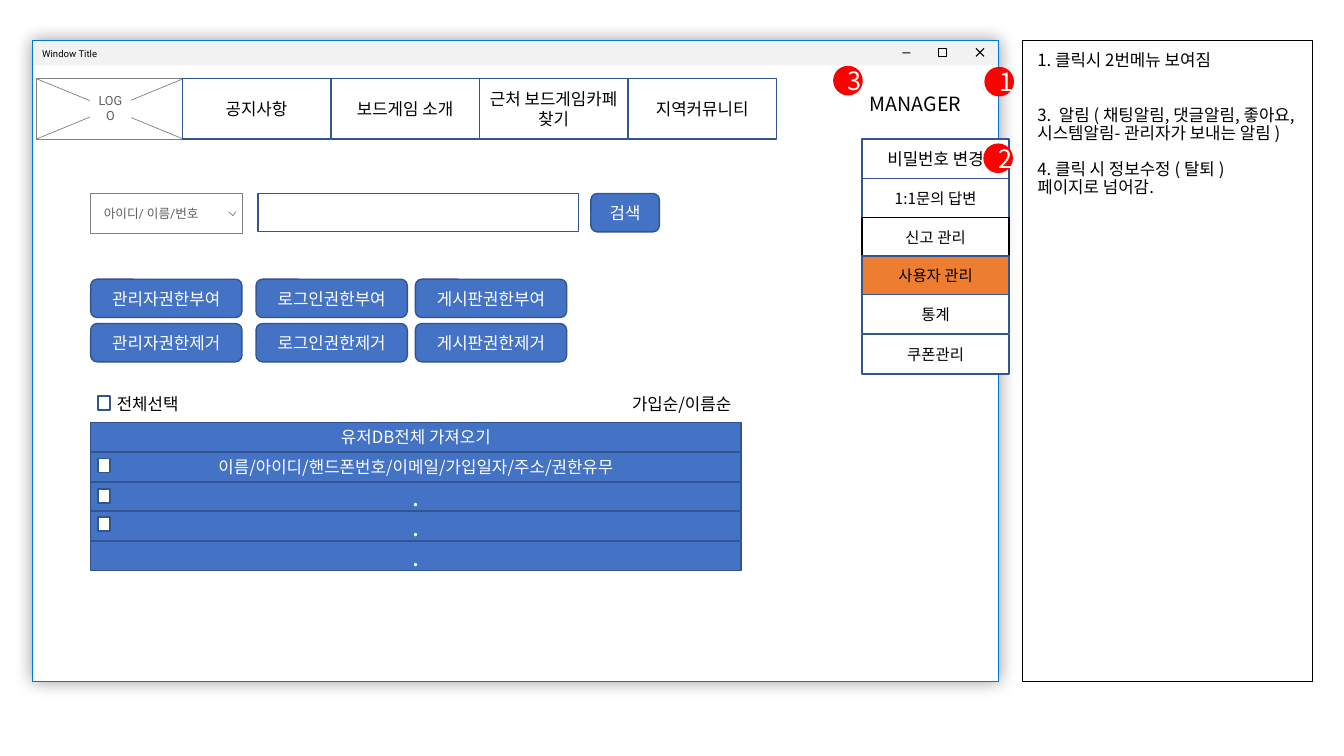
from lxml import etree
from pptx import Presentation
from pptx.dml.color import RGBColor
from pptx.enum.shapes import MSO_CONNECTOR, MSO_SHAPE as SHAPE
from pptx.enum.text import MSO_ANCHOR as ANCHOR, PP_ALIGN as ALIGN
from pptx.oxml import parse_xml
from pptx.oxml.ns import nsdecls, qn
from pptx.util import Inches, Pt

COLORS = {
    "black": "000000", "white": "FFFFFF", "bar": "F2F2F2", "window": "0078D7",
    "blue": "4472C4", "edge": "325491", "orange": "ED7D31", "red": "FF0000",
    "gray": "808080", "label": "5F5F5F",
}
KOREAN, LATIN = "Noto Sans CJK KR", "Roboto"


def rgb(name):
    return RGBColor.from_string(COLORS[name])


def style_line(line, color, width):
    if color is None:
        line.fill.background()
    else:
        line.color.rgb = rgb(color)
        line.width = Pt(width)


def write(frame, paragraphs, size, color="black", font=KOREAN, align=ALIGN.LEFT):
    for i, text in enumerate(paragraphs):
        paragraph = frame.paragraphs[0] if i == 0 else frame.add_paragraph()
        paragraph.text = text
        paragraph.alignment = align
        paragraph.font.size = Pt(size)
        paragraph.font.name = font
        paragraph.font.color.rgb = rgb(color)
        for run in paragraph.runs:
            etree.SubElement(run.font._element, qn("a:ea"), typeface=KOREAN)


def set_insets(frame, left, top, right, bottom):
    frame.margin_left, frame.margin_top = Inches(left), Inches(top)
    frame.margin_right, frame.margin_bottom = Inches(right), Inches(bottom)


def box(slide, at, fill="white", line="edge", width=1, text=None, size=12,
        color="black", font=KOREAN, align=ALIGN.CENTER, insets=None,
        kind=SHAPE.RECTANGLE):
    shape = slide.shapes.add_shape(kind, *map(Inches, at))
    shape.shadow.inherit = False
    if fill is None:
        shape.fill.background()
    else:
        shape.fill.solid()
        shape.fill.fore_color.rgb = rgb(fill)
    style_line(shape.line, line, width)
    if text:
        frame = shape.text_frame
        frame.word_wrap = True
        frame.vertical_anchor = ANCHOR.MIDDLE
        if insets:
            set_insets(frame, *insets)
        write(frame, [text], size, color, font, align)
    return shape


def button(slide, at, text):
    box(slide, at, "blue", text=text, color="white", kind=SHAPE.ROUNDED_RECTANGLE)


def badge(slide, x, y, number):
    box(slide, (x, y, 0.28, 0.28), "red", "red", text=number, size=18,
        color="white", kind=SHAPE.OVAL)


def checkbox(slide, y):
    box(slide, (0.97, y, 0.12, 0.14))


def label(slide, at, paragraphs, wrap=False):
    text_box = slide.shapes.add_textbox(*map(Inches, at))
    text_box.text_frame.word_wrap = wrap
    write(text_box.text_frame, paragraphs, 12)
    return text_box.text_frame


def outline(slide, strokes, color, width, close=False):
    builder = None
    for stroke in strokes:
        start, *rest = [(Inches(x), Inches(y)) for x, y in stroke]
        if builder is None:
            builder = slide.shapes.build_freeform(*start)
        else:
            builder.move_to(*start)
        builder.add_line_segments(rest, close=close)
    shape = builder.convert_to_shape()
    shape.shadow.inherit = False
    shape.fill.background()
    style_line(shape.line, color, width)


def diagonal(slide, x1, y1, x2, y2):
    line = slide.shapes.add_connector(
        MSO_CONNECTOR.STRAIGHT, *map(Inches, (x1, y1, x2, y2)))
    style_line(line.line, "gray", 0.5)
    etree.SubElement(line._element.spPr, qn("a:effectLst"))


def add_glow(shape):
    shadow = parse_xml(
        f'<a:outerShdw {nsdecls("a")} blurRad="{Pt(12)}" dist="0" algn="ctr" rotWithShape="0">'
        '<a:srgbClr val="000000"><a:alpha val="40000"/></a:srgbClr></a:outerShdw>')
    shape._element.spPr.find(qn("a:effectLst")).append(shadow)


def add_window(slide):
    frame = (0.32, 0.4, 9.58, 6.36)
    add_glow(box(slide, frame, line="window", width=0.5))
    box(slide, (0.32, 0.4, 9.58, 0.25), "bar", None, text="Window Title", size=6.8,
        font=LATIN, align=ALIGN.LEFT, insets=(0.1, 0.06, 0.1, 0.05))
    # Minimize, maximize and close
    box(slide, (8.95, 0.52, 0.08, 0.01), "black", None)
    outline(slide, [[(9.31, 0.48), (9.39, 0.48), (9.39, 0.56), (9.31, 0.56)]],
            "black", 0.75, close=True)
    outline(slide, [[(9.68, 0.48), (9.76, 0.56)], [(9.76, 0.48), (9.68, 0.56)]],
            "black", 0.75)
    box(slide, frame, None, "window", 0.5)


def add_notes_panel(slide):
    box(slide, (10.14, 0.4, 2.88, 6.36), None, "black", 0.75)
    notes = label(slide, (10.19, 0.47, 2.88, 6.36), [
        "1. 클릭시 2번메뉴 보여짐",
        "3.  알림 ( 채팅알림, 댓글알림, 좋아요, 시스템알림- 관리자가 보내는 알림 )",
        "4. 클릭 시 정보수정 ( 탈퇴 )",
        "페이지로 넘어감.",
    ], wrap=True)
    for paragraph, gap in zip(notes.paragraphs, (0, 26, 13, 0)):
        paragraph.line_spacing = 0.9
        paragraph.space_before = Pt(gap)


def add_navigation(slide):
    # Logo placeholder
    box(slide, (0.36, 0.78, 1.46, 0.6), line="gray", width=0.5)
    diagonal(slide, 0.36, 1.38, 1.82, 0.78)
    diagonal(slide, 0.36, 0.78, 1.82, 1.38)
    box(slide, (0.89, 0.96, 0.41, 0.23), line=None, text="LOGO", size=9,
        color="label", font=LATIN, insets=(0.08, 0.04, 0.08, 0.04))
    # Tabs
    tabs = ("공지사항", "보드게임 소개", "근처 보드게임카페 찾기", "지역커뮤니티")
    for i, tab in enumerate(tabs):
        box(slide, (1.81 + i * 4.42 / 3, 0.78, 1.47, 0.6), text=tab)


def add_manager_menu(slide):
    box(slide, (8.43, 0.83, 1.3, 0.39), line=None, text="MANAGER", size=14,
        kind=SHAPE.ROUNDED_RECTANGLE)
    items = (
        (1.38, "비밀번호 변경", 12, "white", "edge"),
        (1.77, "1:1문의 답변", 11, "white", "edge"),
        (2.16, "신고 관리", 11, "white", "black"),
        (2.54, "사용자 관리", 11, "orange", "edge"),
        (2.92, "통계", 11, "white", "edge"),
        (3.32, "쿠폰관리", 11, "white", "edge"),
    )
    for y, item, size, fill, line in items:
        box(slide, (8.55, y, 1.46, 0.39), fill, line, text=item, size=size)
    for x, y, number in ((9.77, 0.67, "1"), (9.76, 1.43, "2"), (8.27, 0.66, "3")):
        badge(slide, x, y, number)


def add_search(slide):
    box(slide, (0.9, 1.92, 1.5, 0.4), line="gray", width=0.5, text="아이디/ 이름/번호",
        size=9, color="label", font=LATIN, align=ALIGN.LEFT,
        insets=(0.13, 0.06, 0.2, 0.06))
    outline(slide, [[(2.27, 2.1), (2.31, 2.14), (2.34, 2.1)]], "gray", 0.5)
    box(slide, (2.56, 1.92, 3.18, 0.38))
    button(slide, (5.86, 1.92, 0.68, 0.38), "검색")


def add_permission_buttons(slide):
    for x, target in ((0.9, "관리자"), (2.54, "로그인"), (4.12, "게시판")):
        for y, action in ((2.77, "부여"), (3.21, "제거")):
            button(slide, (x, y, 1.5, 0.38), f"{target}권한{action}")


def add_user_list(slide):
    rows = (
        ("유저DB전체 가져오기", 12),
        ("이름/아이디/핸드폰번호/이메일/가입일자/주소/권한유무", 12),
        (".", 18), (".", 18), (".", 18),
    )
    for i, (text, size) in enumerate(rows):
        box(slide, (0.9, 4.19 + i * 1.18 / 4, 6.45, 0.29), "blue", text=text,
            size=size, color="white")
    for y in (3.93, 4.55, 4.85, 5.13):
        checkbox(slide, y)
    label(slide, (1.06, 3.86, 0.88, 0.3), ["전체선택"])
    label(slide, (6.17, 3.86, 1.28, 0.3), ["가입순/이름순"])


def main():
    deck = Presentation()
    deck.slide_width, deck.slide_height = Inches(13.33), Inches(7.5)
    slide = deck.slides.add_slide(deck.slide_layouts[6])
    add_window(slide)
    add_notes_panel(slide)
    add_navigation(slide)
    add_manager_menu(slide)
    add_search(slide)
    add_permission_buttons(slide)
    add_user_list(slide)
    deck.save("out.pptx")


if __name__ == "__main__":
    main()
